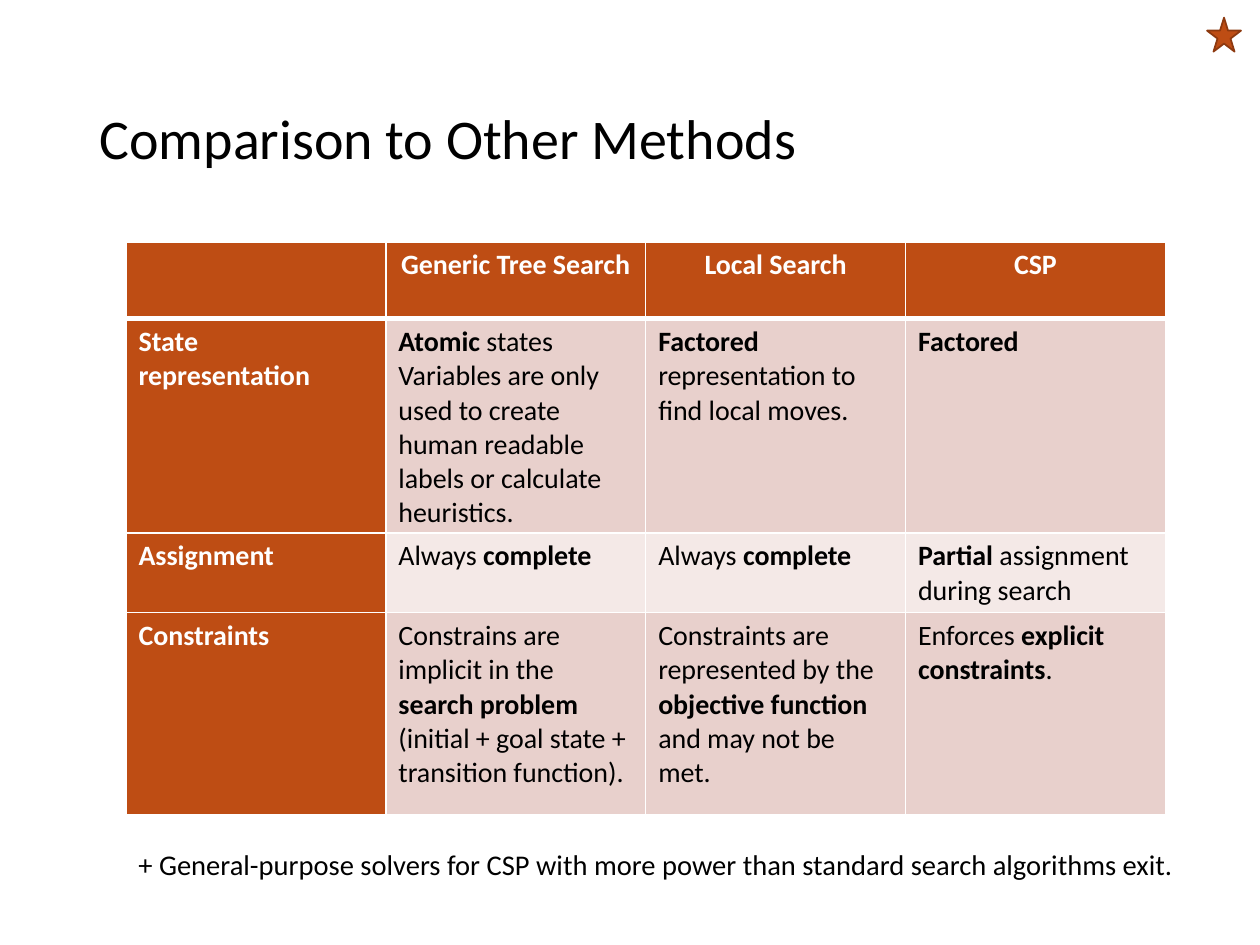
"""Build a slide comparing CSP with other search methods."""
from dataclasses import dataclass

from lxml.etree import SubElement
from pptx import Presentation
from pptx.dml.color import RGBColor
from pptx.enum.shapes import MSO_SHAPE as Shape
from pptx.enum.text import MSO_ANCHOR as Anchor, PP_ALIGN as Align
from pptx.oxml.ns import qn
from pptx.util import Inches, Pt

FONT = "Calibri"
BLACK = RGBColor(0x00, 0x00, 0x00)
WHITE = RGBColor(0xFF, 0xFF, 0xFF)
RUST = RGBColor(0xBE, 0x4D, 0x14)
DARK_RUST = RGBColor(0x8D, 0x39, 0x0F)
ROSE = RGBColor(0xE8, 0xD0, 0xCC)
PALE_ROSE = RGBColor(0xF4, 0xE9, 0xE7)

METHODS = ("", "Generic Tree Search", "Local Search", "CSP")


@dataclass(frozen=True)
class Aspect:
    """One compared aspect; asterisks enclose the bold words."""

    name: str
    entries: tuple[str, ...]
    height: float
    fill: RGBColor


ASPECTS = (
    Aspect("State representation", (
        "*Atomic* states\nVariables are only used to create human readable labels "
        "or calculate heuristics.",
        "*Factored* representation to find local moves.",
        "*Factored*",
    ), 1.6, ROSE),
    Aspect("Assignment", (
        "Always *complete*",
        "Always *complete*",
        "*Partial* assignment during search",
    ), 0.61, PALE_ROSE),
    Aspect("Constraints", (
        "Constrains are implicit in the *search problem *"
        "(initial + goal state + transition function).",
        "Constraints are represented by the *objective function *and may not be met.",
        "Enforces *explicit constraints*.",
    ), 1.6, ROSE),
)


def set_font(paragraph, size: float, color: RGBColor) -> None:
    """Give a paragraph its typeface, size and colour."""
    font = paragraph.font
    font.name, font.size = FONT, Pt(size)
    font.color.rgb = color


def add_marked_text(paragraph, text: str) -> None:
    """Write text, with bold between asterisks and breaks at newlines."""
    for index, part in enumerate(text.split("*")):
        for number, line in enumerate(part.split("\n")):
            if number:
                paragraph.add_line_break()
            if line:
                run = paragraph.add_run()
                run.text = line
                run.font.bold = index % 2 == 1


def set_borders(cell, bottom_width: float) -> None:
    """Draw white cell borders, ahead of the fill as the schema requires."""
    properties = cell._tc.get_or_add_tcPr()
    widths = {"lnL": 1, "lnR": 1, "lnT": 1, "lnB": bottom_width}
    for position, (tag, width) in enumerate(widths.items()):
        line = SubElement(properties, qn(f"a:{tag}"), w=str(Pt(width)))
        fill = SubElement(line, qn("a:solidFill"))
        SubElement(fill, qn("a:srgbClr"), val=str(WHITE))
        properties.insert(position, line)


def fill_cell(cell, text: str, fill: RGBColor, color: RGBColor,
              align: Align = Align.LEFT, bottom_width: float = 1) -> None:
    """Set the text, fill and borders of a table cell."""
    cell.fill.solid()
    cell.fill.fore_color.rgb = fill
    set_borders(cell, bottom_width)
    paragraph = cell.text_frame.paragraphs[0]
    paragraph.alignment = align
    set_font(paragraph, 16, color)
    add_marked_text(paragraph, text)


def add_comparison(slide) -> None:
    """Add the table of methods and aspects."""
    heights = [0.61] + [aspect.height for aspect in ASPECTS]
    table = slide.shapes.add_table(
        len(heights), len(METHODS), Inches(1), Inches(1.92),
        Inches(8.25), Inches(sum(heights))).table
    for row, height in zip(table.rows, heights):
        row.height = Inches(height)
    for column, method in enumerate(METHODS):
        heading = f"*{method}*" if method else ""
        fill_cell(table.cell(0, column), heading, RUST, WHITE, Align.CENTER, 3)
    for row, aspect in enumerate(ASPECTS, start=1):
        fill_cell(table.cell(row, 0), f"*{aspect.name}*", RUST, WHITE)
        for column, entry in enumerate(aspect.entries, start=1):
            fill_cell(table.cell(row, column), entry, aspect.fill, BLACK)


def add_title(slide) -> None:
    """Place and format the title."""
    title = slide.shapes.title
    title.left, title.top = Inches(0.69), Inches(0.4)
    title.width, title.height = Inches(8.62), Inches(1.45)
    title.text_frame.text = "Comparison to Other Methods"
    title.text_frame.vertical_anchor = Anchor.MIDDLE
    paragraph = title.text_frame.paragraphs[0]
    paragraph.alignment = Align.LEFT
    paragraph.line_spacing = 0.9
    set_font(paragraph, 32, BLACK)


def add_remark(slide) -> None:
    """Add the remark below the table."""
    frame = slide.shapes.add_textbox(
        Inches(1), Inches(6.75), Inches(8.81), Inches(0.42)).text_frame
    frame.word_wrap = True
    paragraph = frame.paragraphs[0]
    paragraph.text = ("+ General-purpose solvers for CSP with more power than "
                      "standard search algorithms exit.")
    paragraph.line_spacing = 0.7
    paragraph.space_before = Pt(7.5)
    set_font(paragraph, 16.3, BLACK)


def add_star(slide) -> None:
    """Add the star in the top right corner."""
    star = slide.shapes.add_shape(
        Shape.STAR_5_POINT, Inches(9.58), Inches(0.14), Inches(0.27), Inches(0.27))
    star.shadow.inherit = False
    star.fill.solid()
    star.fill.fore_color.rgb = RUST
    star.line.color.rgb = DARK_RUST
    star.line.width = Pt(1)


def main() -> None:
    """Build and save the presentation."""
    presentation = Presentation()
    presentation.slide_width, presentation.slide_height = Inches(10), Inches(7.5)
    slide = presentation.slides.add_slide(presentation.slide_layouts[5])
    add_title(slide)
    add_remark(slide)
    add_star(slide)
    add_comparison(slide)
    presentation.save("out.pptx")


if __name__ == "__main__":
    main()
